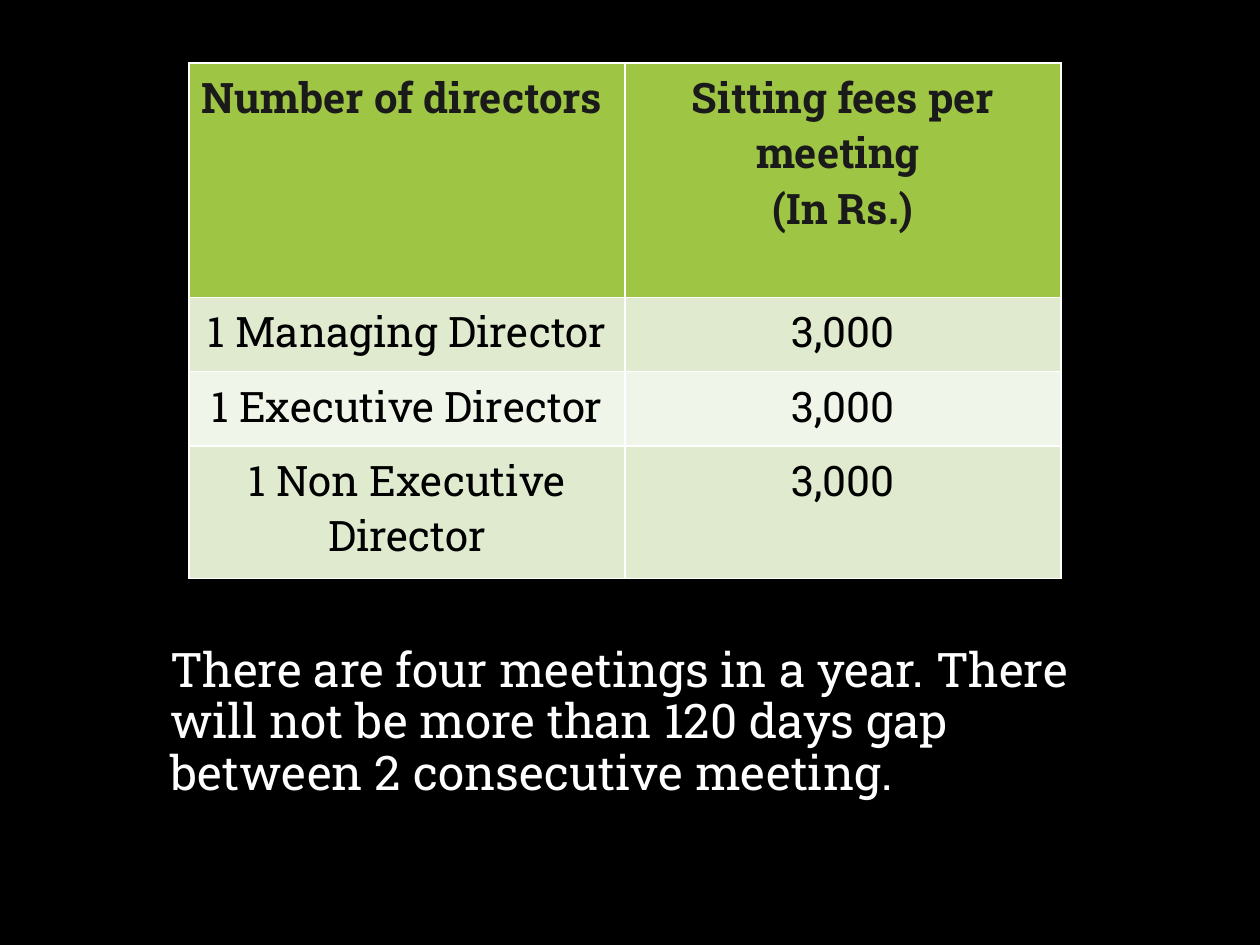
from typing import NamedTuple

from lxml.etree import SubElement
from pptx import Presentation
from pptx.dml.color import RGBColor
from pptx.enum.text import MSO_ANCHOR, MSO_AUTO_SIZE, PP_ALIGN
from pptx.oxml.ns import qn
from pptx.util import Inches, Pt

FONT = "Roboto Slab"
WHITE = "FFFFFF"


class Row(NamedTuple):
    director: str
    fee: str
    height: float
    fill: str
    color: str = "000000"
    bold: bool = False


ROWS = [
    Row("Number of directors ", "Sitting fees per meeting \n(In Rs.)", 1.86, "9EC544", "1A1A1A", True),
    Row("1 Managing Director", "3,000", 0.59, "DFEACF"),
    Row("1 Executive Director", "3,000", 0.59, "F0F5E9"),
    Row("1 Non Executive Director", "3,000", 1.05, "DFEACF"),
]


def rgb(value: str) -> RGBColor:
    return RGBColor.from_string(value)


def format_runs(p, size: float, color: str, bold: bool = False) -> None:
    for r in p.runs:
        r.font.name = FONT
        r.font.size = Pt(size)
        r.font.bold = bold
        r.font.color.rgb = rgb(color)


def add_borders(cell, color: str, width: float) -> None:
    tc_pr = cell._tc.get_or_add_tcPr()
    for side in ("a:lnL", "a:lnR", "a:lnT", "a:lnB"):
        ln = SubElement(tc_pr, qn(side), w=str(Pt(width)))
        fill = SubElement(ln, qn("a:solidFill"))
        SubElement(fill, qn("a:srgbClr"), val=color)


def fill_cell(cell, text: str, row: Row) -> None:
    add_borders(cell, WHITE, 1)
    cell.fill.solid()
    cell.fill.fore_color.rgb = rgb(row.fill)
    cell.margin_left = cell.margin_right = Inches(0.07)
    cell.margin_top = cell.margin_bottom = Inches(0.05)
    cell.text_frame.text = text
    for p in cell.text_frame.paragraphs:
        p.alignment = PP_ALIGN.CENTER
        format_runs(p, 24, row.color, row.bold)


def add_fee_table(s, rows: list[Row]) -> None:
    height = sum(row.height for row in rows)
    table = s.shapes.add_table(
        len(rows), 2, Inches(1.5), Inches(0.5), Inches(6.92), Inches(height)
    ).table
    for i, row in enumerate(rows):
        table.rows[i].height = Inches(row.height)
        for j, text in enumerate((row.director, row.fee)):
            fill_cell(table.cell(i, j), text, row)


def write_body(sp, text: str) -> None:
    sp.left, sp.top = Inches(1.25), Inches(5.08)
    sp.width, sp.height = Inches(7.69), Inches(2.08)
    tf = sp.text_frame
    tf.text = text
    tf.word_wrap = True
    tf.auto_size = MSO_AUTO_SIZE.NONE
    tf.vertical_anchor = MSO_ANCHOR.TOP
    p = tf.paragraphs[0]
    p.alignment = PP_ALIGN.LEFT
    p.space_before = Pt(10)
    p.line_spacing = 0.9
    p_pr = p._p.get_or_add_pPr()
    p_pr.set("marL", "0")
    p_pr.set("indent", "0")
    SubElement(p_pr, qn("a:buNone"))
    format_runs(p, 27.2, WHITE)


def main() -> None:
    prs = Presentation()
    prs.slide_width, prs.slide_height = Inches(10), Inches(7.5)
    s = prs.slides.add_slide(prs.slide_layouts[1])
    s.background.fill.solid()
    s.background.fill.fore_color.rgb = rgb("000000")
    title = s.shapes.title
    title.element.getparent().remove(title.element)
    write_body(
        s.placeholders[1],
        "There are four meetings in a year. There will not be more than "
        "120 days gap between 2 consecutive meeting.",
    )
    add_fee_table(s, ROWS)
    prs.save("out.pptx")


if __name__ == "__main__":
    main()
